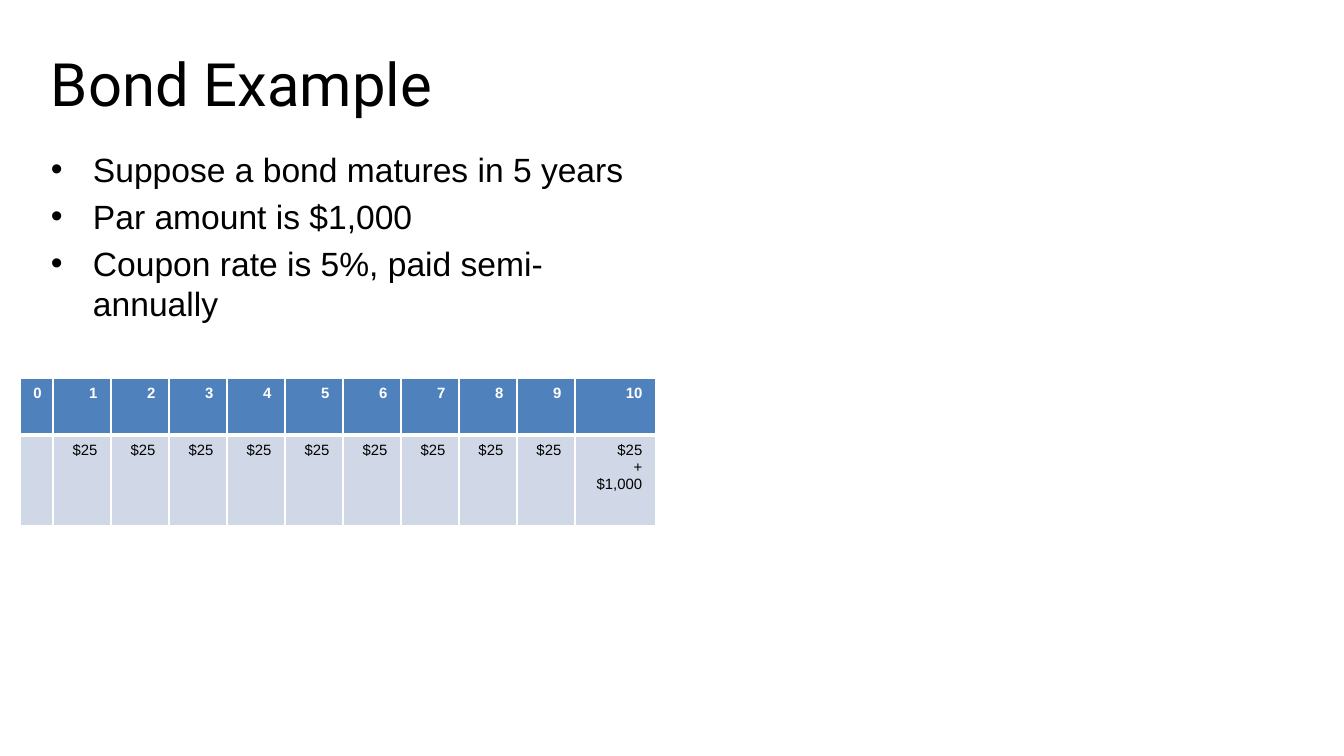
from lxml import etree
from pptx import Presentation
from pptx.dml.color import RGBColor
from pptx.enum.text import MSO_ANCHOR, PP_ALIGN
from pptx.oxml.ns import qn
from pptx.util import Pt

TOP = MSO_ANCHOR.TOP
RIGHT = PP_ALIGN.RIGHT
BLACK = RGBColor(0x00, 0x00, 0x00)
WHITE = RGBColor(0xFF, 0xFF, 0xFF)
HEADER_BLUE = RGBColor(0x4F, 0x81, 0xBD)
PAYMENT_BLUE = RGBColor(0xD0, 0xD8, 0xE8)
EMU_PER_PX = 914400 / 134.4


def px(length):
    return round(length * EMU_PER_PX)


class BondSlide:
    title_font = "Roboto"
    body_font = "Arial"
    inset = 13

    def __init__(self, presentation):
        self.slide = presentation.slides.add_slide(presentation.slide_layouts[6])

    def text(self, paragraph, words, font, size, color, bold=False):
        run = paragraph.add_run()
        run.text = words
        run.font.name = font
        run.font.size = Pt(size)
        run.font.color.rgb = color
        run.font.bold = bold

    def frame(self, left, top, width, height):
        box = self.slide.shapes.add_textbox(px(left), px(top), px(width), px(height))
        frame = box.text_frame
        frame.word_wrap = True
        frame.vertical_anchor = TOP
        frame.margin_left = frame.margin_right = px(self.inset)
        return frame

    def title(self, words, left, top, width, height):
        frame = self.frame(left, top, width, height)
        self.text(frame.paragraphs[0], words, self.title_font, 32, BLACK)

    def bullets(self, items, left, top, width, height, indent):
        frame = self.frame(left, top, width, height)
        for index, item in enumerate(items):
            paragraph = frame.add_paragraph() if index else frame.paragraphs[0]
            properties = paragraph._p.get_or_add_pPr()
            properties.set("marL", str(px(indent)))
            properties.set("indent", str(-px(indent)))
            etree.SubElement(properties, qn("a:buFont"), typeface=self.body_font)
            etree.SubElement(properties, qn("a:buChar"), char="•")
            if index:
                paragraph.space_before = Pt(3.6)
            self.text(paragraph, item, self.body_font, 18, BLACK)

    def borders(self, cell, top, bottom):
        properties = cell._tc.get_or_add_tcPr()
        widths = {"a:lnL": 1, "a:lnR": 1, "a:lnT": top, "a:lnB": bottom}
        for position, (side, width) in enumerate(widths.items()):
            line = etree.Element(qn(side), w=str(Pt(width)))
            fill = etree.SubElement(line, qn("a:solidFill"))
            etree.SubElement(fill, qn("a:srgbClr"), val=str(WHITE))
            properties.insert(position, line)

    def cell(self, cell, lines, fill, color, bold, top, bottom):
        cell.fill.solid()
        cell.fill.fore_color.rgb = fill
        self.borders(cell, top, bottom)
        frame = cell.text_frame
        for index, line in enumerate(lines):
            paragraph = frame.add_paragraph() if index else frame.paragraphs[0]
            paragraph.alignment = RIGHT
            self.text(paragraph, line, self.body_font, 8, color, bold)

    def schedule(self, periods, payments, left, top, widths, heights):
        table = self.slide.shapes.add_table(
            2, len(widths), px(left), px(top), px(sum(widths)), px(sum(heights))
        ).table
        for column, width in zip(table.columns, widths):
            column.width = px(width)
        for row, height in zip(table.rows, heights):
            row.height = px(height)
        for index, (period, payment) in enumerate(zip(periods, payments)):
            self.cell(table.cell(0, index), [period], HEADER_BLUE, WHITE, True, 1, 3)
            self.cell(table.cell(1, index), payment, PAYMENT_BLUE, BLACK, False, 3, 1)


def main():
    presentation = Presentation()
    presentation.slide_width = px(1344)
    presentation.slide_height = px(756)
    slide = BondSlide(presentation)
    slide.bullets(
        [
            "Suppose a bond matures in 5 years",
            "Par amount is $1,000",
            "Coupon rate is 5%, paid semi-annually",
        ],
        38, 142, 634, 524, indent=42,
    )
    slide.title("Bond Example", 38, 40, 908, 102)
    slide.schedule(
        periods=[str(period) for period in range(11)],
        payments=[[]] + [["$25"]] * 9 + [["$25", "+", "$1,000"]],
        left=20, top=378,
        widths=[33] + [58] * 9 + [81],
        heights=[57, 91],
    )
    presentation.save("out.pptx")


if __name__ == "__main__":
    main()
